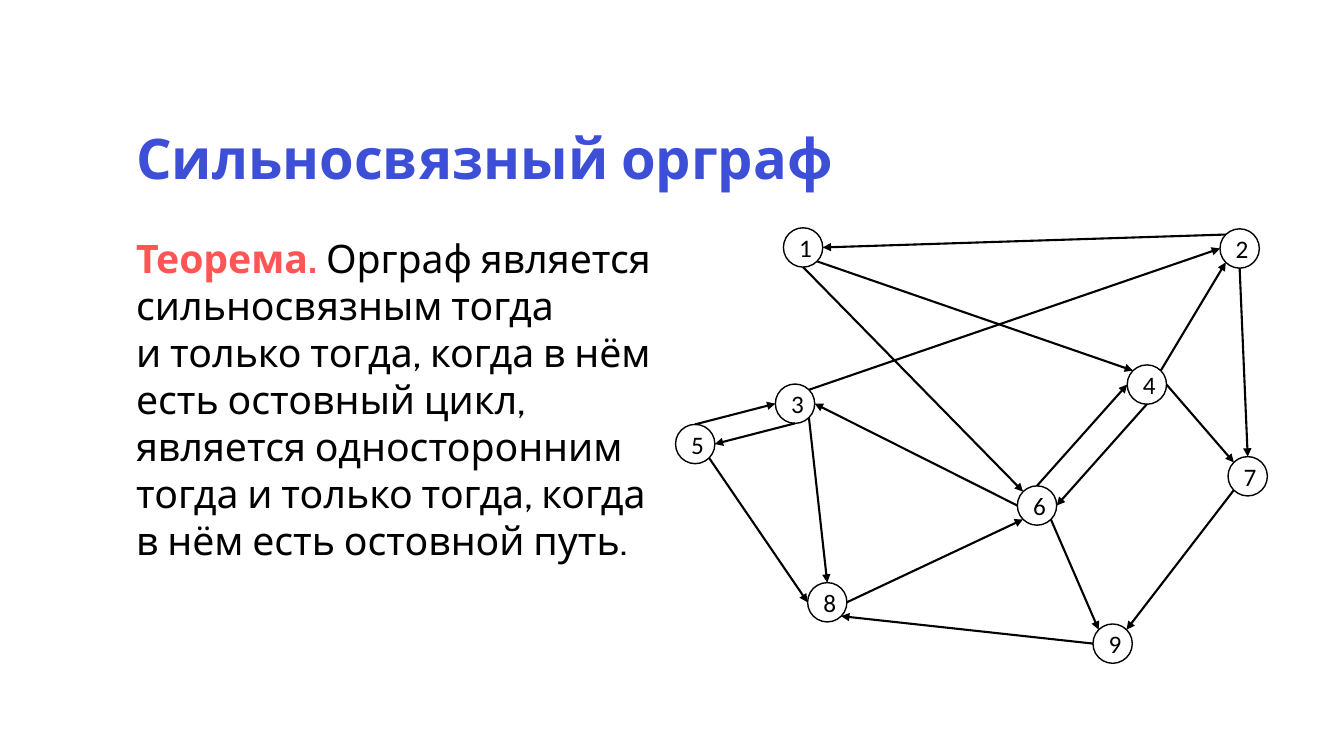
from pptx import Presentation
from pptx.dml.color import RGBColor
from pptx.enum.shapes import MSO_CONNECTOR as Connector, MSO_SHAPE as Shape
from pptx.enum.text import MSO_ANCHOR as Anchor, MSO_AUTO_SIZE as AutoSize, PP_ALIGN as Align
from pptx.oxml.ns import qn
from pptx.util import Inches, Pt
from lxml.etree import SubElement

# Content
TITLE = "Сильносвязный орграф"
THEOREM_LABEL = "Теорема. "
THEOREM_LINES = [
    "Орграф является сильносвязным тогда",
    "и только тогда, когда в нём есть остовный цикл, "
    "является односторонним тогда и только тогда, когда",
    "в нём есть остовной путь.",
]
# Top left corner of each vertex, in inches
VERTICES = {
    3: (7.69, 3.81), 5: (6.7, 4.21), 1: (7.77, 2.26),
    2: (12.1, 2.27), 4: (11.18, 3.62), 6: (10.09, 4.82),
    7: (12.18, 4.53), 9: (10.84, 6.19), 8: (8.01, 5.78),
}
# Arc: vertex and side it leaves, vertex and side it enters
ARCS = [
    (5, "top", 3, "left"), (3, "bottom", 5, "right"),
    (1, "bottom", 6, "top left"), (1, "bottom right", 4, "top left"),
    (2, "top left", 1, "right"), (2, "bottom", 7, "top"),
    (3, "bottom right", 8, "top"), (4, "top right", 2, "bottom left"),
    (4, "right", 7, "top left"), (4, "bottom", 6, "right"),
    (6, "top", 4, "left"), (3, "top right", 2, "left"),
    (5, "bottom right", 8, "left"), (6, "bottom right", 9, "top left"),
    (9, "left", 8, "bottom right"), (7, "bottom left", 9, "top right"),
    (8, "right", 6, "bottom left"), (6, "left", 3, "right"),
]

# Style
COLORS = {"title": "3D4ED7", "accent": "FF5555", "ink": "000000", "paper": "FFFFFF"}
TEXT_FONT, VERTEX_FONT = "Cabin", "Calibri"
MARGIN = 1.25
DIAMETER = 0.39
DIRECTIONS = {"top": (0, -1), "bottom": (0, 1), "left": (-1, 0), "right": (1, 0)}


def color(name):
    return RGBColor.from_string(COLORS[name])


def place(shape, left, top, width, height):
    shape.left, shape.top = Inches(left), Inches(top)
    shape.width, shape.height = Inches(width), Inches(height)


def add_run(paragraph, text, size, font_name, color_name, bold=False):
    run = paragraph.add_run()
    run.text = text
    font = run.font
    font.size, font.name, font.bold = Pt(size), font_name, bold
    font.color.rgb = color(color_name)


def rim_point(vertex, side):
    """Point on the vertex circle in the named direction."""
    steps = [DIRECTIONS[word] for word in side.split()]
    reach = DIAMETER / 2 / len(steps) ** 0.5
    return [Inches(corner + DIAMETER / 2 + reach * sum(axis))
            for corner, axis in zip(VERTICES[vertex], zip(*steps))]


def add_vertex(slide, number, left, top):
    shape = slide.shapes.add_shape(
        Shape.OVAL, Inches(left), Inches(top), Inches(DIAMETER), Inches(DIAMETER))
    shape.shadow.inherit = False
    shape.fill.solid()
    shape.fill.fore_color.rgb = color("paper")
    shape.line.color.rgb = color("ink")
    shape.line.width = Pt(1)
    shape.text_frame.vertical_anchor = Anchor.MIDDLE
    paragraph = shape.text_frame.paragraphs[0]
    paragraph.alignment = Align.CENTER
    add_run(paragraph, str(number), 18, VERTEX_FONT, "ink")


def add_arc(slide, start, start_side, end, end_side):
    arc = slide.shapes.add_connector(
        Connector.STRAIGHT, *rim_point(start, start_side), *rim_point(end, end_side))
    arc.line.color.rgb = color("ink")
    arc.line.width = Pt(1.5)
    SubElement(arc.line._get_or_add_ln(), qn("a:tailEnd"), type="triangle")
    SubElement(arc._element.spPr, qn("a:effectLst"))


def main():
    presentation = Presentation()
    presentation.slide_width, presentation.slide_height = Inches(13.33), Inches(7.5)
    slide = presentation.slides.add_slide(presentation.slide_layouts[1])
    title, body = slide.placeholders

    # Title
    place(title, MARGIN, MARGIN, 7.62, 0.8)
    title.text_frame.vertical_anchor = Anchor.TOP
    paragraph = title.text_frame.paragraphs[0]
    paragraph.alignment = Align.LEFT
    paragraph.line_spacing = 0.9
    add_run(paragraph, TITLE, 40, TEXT_FONT, "title", bold=True)

    # Theorem
    place(body, MARGIN, 2.27, 5.41, 3.4)
    body.text_frame.word_wrap = True
    body.text_frame.auto_size = AutoSize.SHAPE_TO_FIT_TEXT
    paragraph = body.text_frame.paragraphs[0]
    paragraph.space_before = Pt(0)
    properties = paragraph._p.get_or_add_pPr()
    properties.set("marL", "0")
    properties.set("indent", "0")
    SubElement(properties, qn("a:buNone"))
    add_run(paragraph, THEOREM_LABEL, 28, TEXT_FONT, "accent", bold=True)
    for index, line in enumerate(THEOREM_LINES):
        if index:
            paragraph.add_line_break()
        add_run(paragraph, line, 28, TEXT_FONT, "ink")

    # Directed graph
    for number, corner in VERTICES.items():
        add_vertex(slide, number, *corner)
    for arc in ARCS:
        add_arc(slide, *arc)

    presentation.save("out.pptx")


if __name__ == "__main__":
    main()
